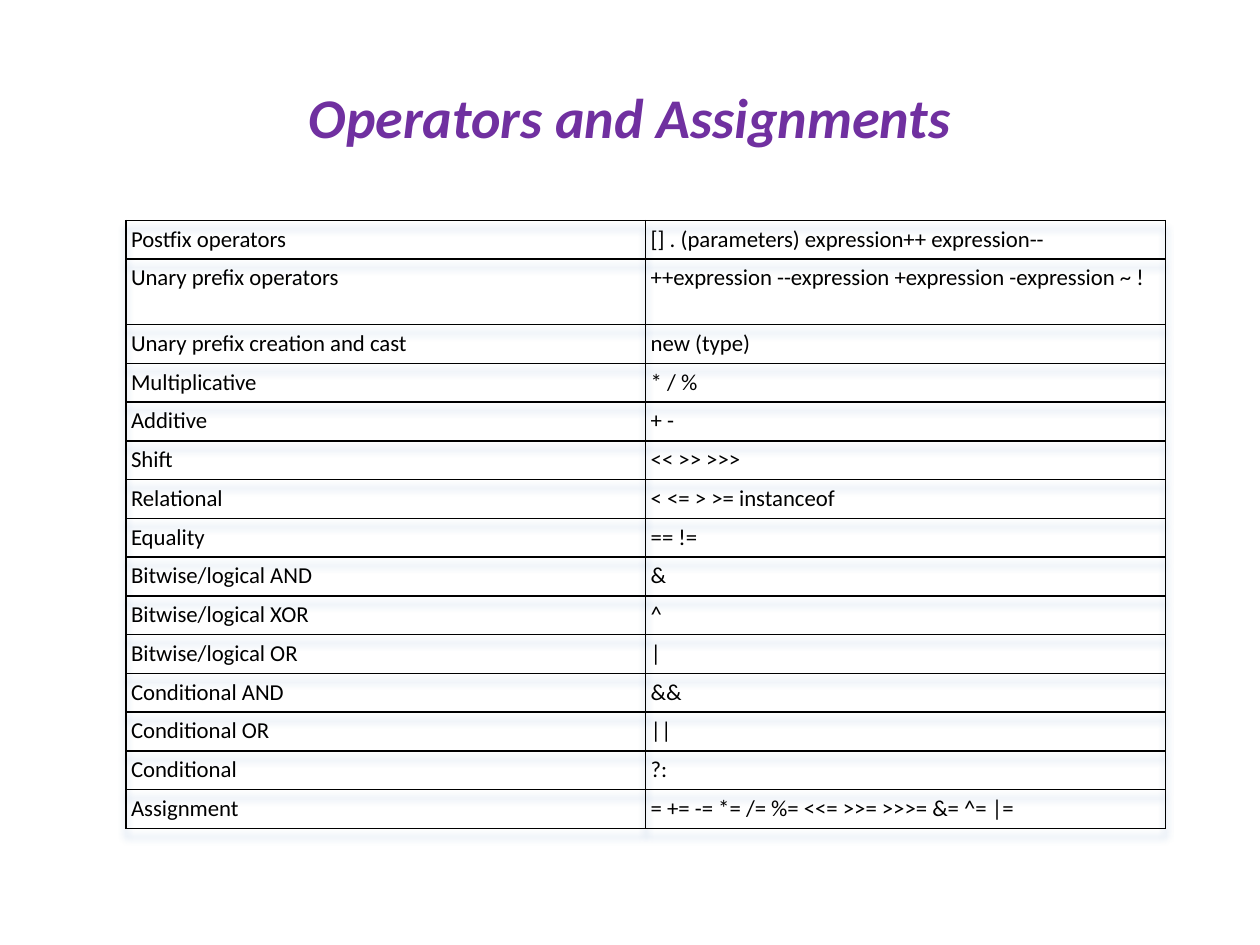
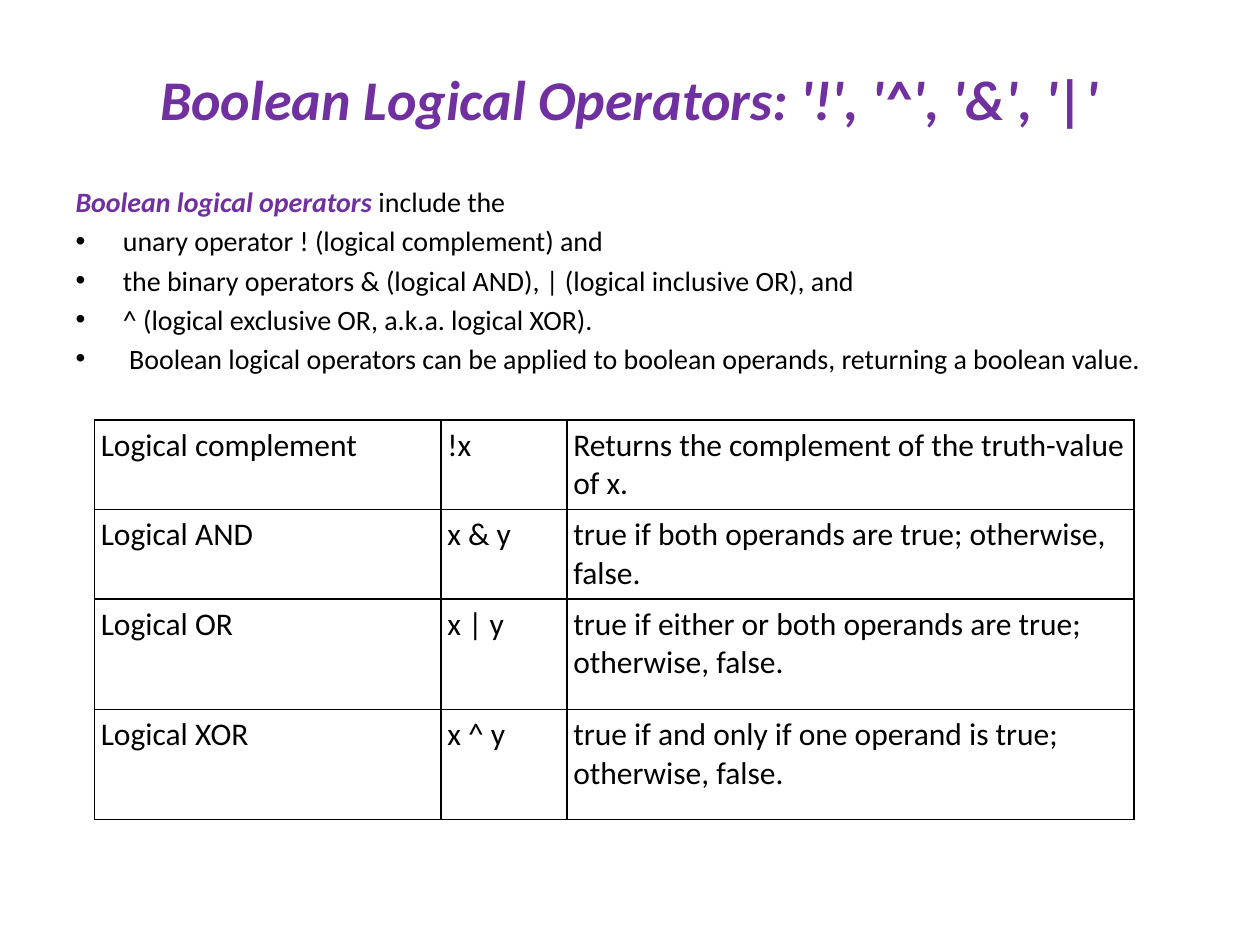
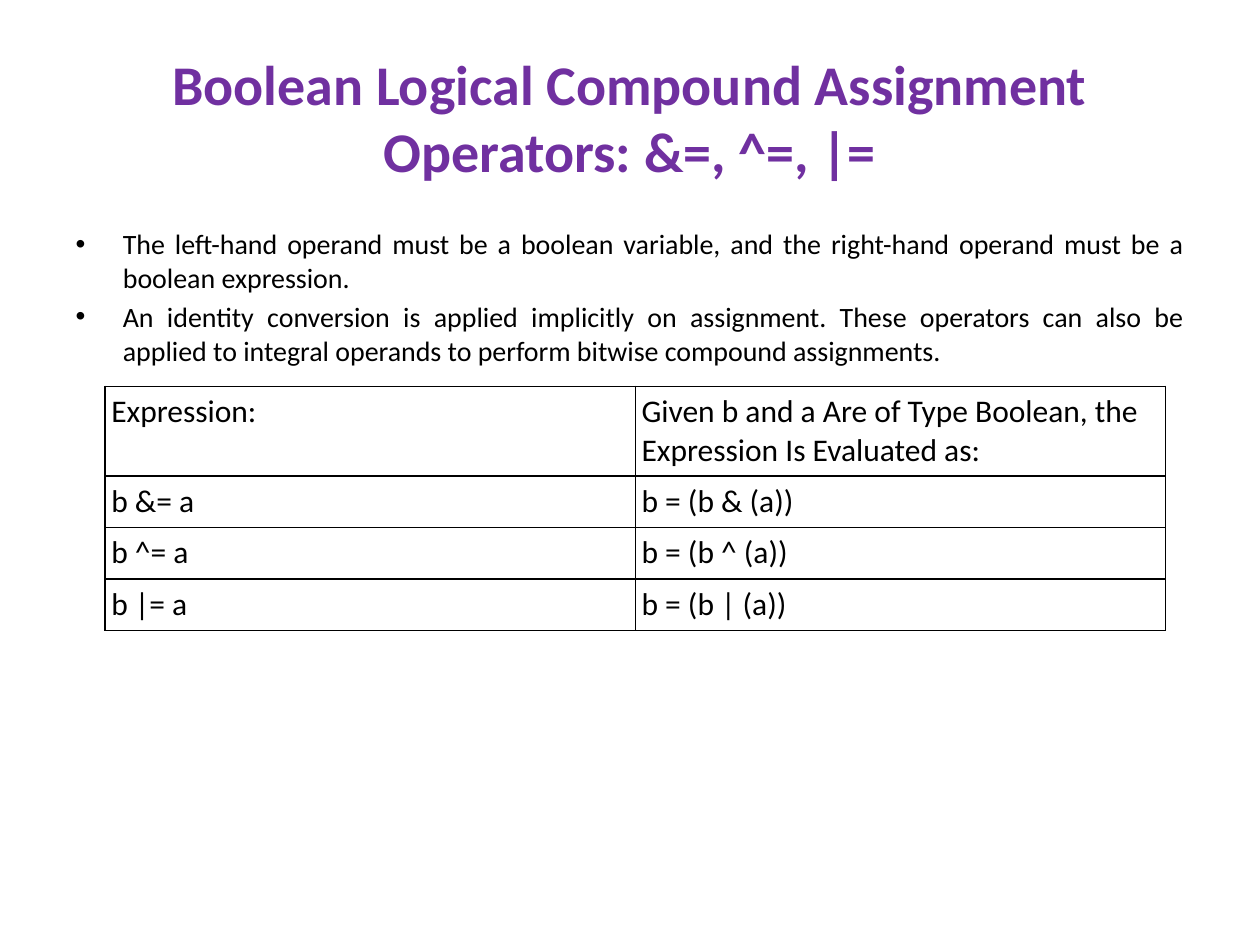
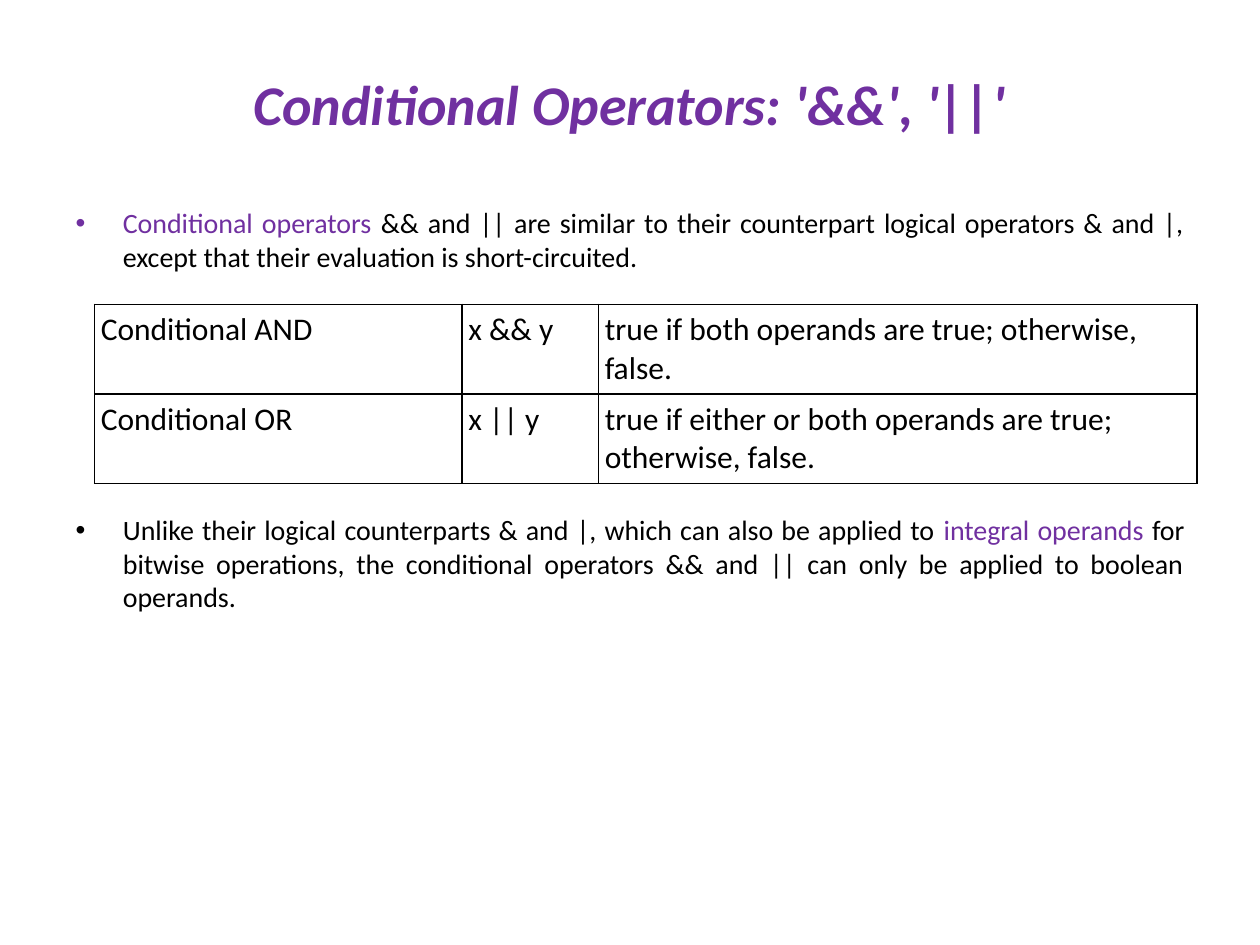
import lxml.etree
import pptx
import pptx.dml.color
import pptx.enum.text
import pptx.oxml
import pptx.oxml.ns
import pptx.util

PURPLE = pptx.dml.color.RGBColor(0x70, 0x30, 0xA0)
BLACK = pptx.dml.color.RGBColor(0x00, 0x00, 0x00)
SHADOW = pptx.dml.color.RGBColor(0x4F, 0x81, 0xBD)

WIDTH, HEIGHT = pptx.util.Inches(10), pptx.util.Inches(7.5)
COLS, ROWS = 120, 90
MARGIN, CONTENT_COLS = 6, 108
TITLE_ROW, BODY_END = 3.6, 80.4
NS = pptx.oxml.ns.nsdecls("a")

TITLE_FONT = {"name": "Calibri", "size": pptx.util.Pt(32), "bold": True}
BODY_FONT = {"name": "Calibri", "size": pptx.util.Pt(16)}
CELL_FONT = {"name": "Calibri", "size": pptx.util.Pt(18)}
SMALL_FONT = {"name": "Calibri", "size": pptx.util.Pt(13)}
JUSTIFIED = {"alignment": pptx.enum.text.PP_ALIGN.JUSTIFY}

PRECEDENCE = [
    ("Postfix operators", "[] . (parameters) expression++ expression--"),
    ("Unary prefix operators", "++expression --expression +expression -expression ~ !"),
    ("Unary prefix creation and cast", "new (type)"),
    ("Multiplicative", "* / %"),
    ("Additive", "+ -"),
    ("Shift", "<< >> >>>"),
    ("Relational", "< <= > >= instanceof"),
    ("Equality", "== !="),
    ("Bitwise/logical AND", "&"),
    ("Bitwise/logical XOR", "^"),
    ("Bitwise/logical OR", "|"),
    ("Conditional AND", "&&"),
    ("Conditional OR", "||"),
    ("Conditional", "?:"),
    ("Assignment", "= += -= *= /= %= <<= >>= >>>= &= ^= |="),
]
LOGICAL = [
    ("Logical complement", "!x", "Returns the complement of the truth-value of x."),
    ("Logical AND", "x & y", "true if both operands are true; otherwise, false."),
    ("Logical OR", "x | y", "true if either or both operands are true; otherwise, false."),
    ("Logical XOR", "x ^ y", "true if and only if one operand is true; otherwise, false."),
]
COMPOUND = [
    ("Expression:", "Given b and a Are of Type Boolean, the Expression Is Evaluated as:"),
    ("b &= a", "b = (b & (a))"),
    ("b ^= a", "b = (b ^ (a))"),
    ("b |= a", "b = (b | (a))"),
]
CONDITIONAL = [
    ("Conditional AND", "x && y", "true if both operands are true; otherwise, false."),
    ("Conditional OR", "x || y", "true if either or both operands are true; otherwise, false."),
]


def x(cols):
    """Turn grid columns into a length."""
    return int(WIDTH * cols / COLS)


def y(rows):
    """Turn grid rows into a length."""
    return int(HEIGHT * rows / ROWS)


def apply(target, values):
    """Set each attribute named in values on target."""
    for name, value in values.items():
        setattr(target, name, value)


def place(sp, top, rows):
    """Put a placeholder on the content columns."""
    apply(sp, {"left": x(MARGIN), "top": y(top),
               "width": x(CONTENT_COLS), "height": y(rows)})
    sp.text_frame.auto_size = pptx.enum.text.MSO_AUTO_SIZE.NONE


def add_run(p, text, font, color=BLACK):
    """Append one formatted run to a paragraph."""
    r = p.add_run()
    r.text = text
    apply(r.font, font)
    r.font.color.rgb = color


def add_slide(prs, title, rows, italic=True, layout=1):
    """Add a slide with its purple title."""
    s = prs.slides.add_slide(prs.slide_layouts[layout])
    place(s.shapes.title, TITLE_ROW, rows)
    p = s.shapes.title.text_frame.paragraphs[0]
    add_run(p, title, {**TITLE_FONT, "italic": italic}, PURPLE)
    return s


def fill_body(s, top, items, values):
    """Write paragraphs, each a list of (text, colour, extra font) runs."""
    sp = s.placeholders[1]
    place(sp, top, BODY_END - top)
    tf = sp.text_frame
    for i, runs in enumerate(items):
        p = tf.add_paragraph() if i else tf.paragraphs[0]
        apply(p, values)
        for text, color, extra in runs:
            add_run(p, text, {**BODY_FONT, **extra}, color)
    return tf.paragraphs


def plain(text):
    """Return a paragraph of one black run."""
    return [(text, BLACK, {})]


def remove_bullet(p):
    """Drop the bullet and indent of a paragraph."""
    pPr = p._p.get_or_add_pPr()
    apply_xml = {"marL": "0", "indent": "0"}
    for name, value in apply_xml.items():
        pPr.set(name, value)
    lxml.etree.SubElement(pPr, pptx.oxml.ns.qn("a:buNone"))


def add_borders(cell):
    """Draw a one-point black line on each side of a cell."""
    tcPr = cell._tc.get_or_add_tcPr()
    for i, side in enumerate("LRTB"):
        tcPr.insert(i, pptx.oxml.parse_xml(
            f'<a:ln{side} {NS} w="12700"><a:solidFill><a:srgbClr val="{BLACK}"/>'
            f'</a:solidFill></a:ln{side}>'))


def add_shadow(table):
    """Give a table a soft blue shadow below its lines."""
    table._tbl.tblPr.insert(0, pptx.oxml.parse_xml(
        f'<a:effectLst {NS}><a:outerShdw blurRad="50800" dist="63500" dir="5400000">'
        f'<a:srgbClr val="{SHADOW}"><a:alpha val="40000"/></a:srgbClr>'
        f'</a:outerShdw></a:effectLst>'))


def add_table(s, left, top, widths, heights, data, font=CELL_FONT, inset=0.05):
    """Add a ruled table without fills, sized in grid columns and rows."""
    table = s.shapes.add_table(len(data), len(widths), x(left), y(top),
                               x(sum(widths)), y(sum(heights))).table
    apply(table, {"first_row": False, "horz_banding": False})
    for column, width in zip(table.columns, widths):
        column.width = x(width)
    margins = {f"margin_{side}": pptx.util.Inches(inset)
               for side in ("left", "right", "top", "bottom")}
    for row, height, texts in zip(table.rows, heights, data):
        row.height = y(height)
        for cell, text in zip(row.cells, texts):
            apply(cell, margins)
            cell.fill.background()
            add_borders(cell)
            add_run(cell.text_frame.paragraphs[0], text, font)
    return table


def add_precedence(prs):
    """Build the slide of all operators."""
    s = add_slide(prs, "Operators and Assignments", 15, layout=5)
    heights = [3.69] * len(PRECEDENCE)
    heights[1] = 6.24
    add_shadow(add_table(s, 12, 21, [49.5] * 2, heights, PRECEDENCE, SMALL_FONT, 0.04))


def add_logical(prs):
    """Build the slide of boolean logical operators."""
    s = add_slide(prs, "Boolean Logical Operators: '!', '^', '&', '|'", 11.4)
    paragraphs = fill_body(s, 17, [
        [("Boolean logical operators ", PURPLE, {"bold": True, "italic": True}),
         ("include the ", BLACK, {})],
        plain("unary operator ! (logical complement) and "),
        plain("the binary operators & (logical AND), | (logical inclusive OR), and "),
        plain("^ (logical exclusive OR, a.k.a. logical XOR)."),
        plain(" Boolean logical operators can be applied to boolean operands, "
              "returning a boolean value."),
    ], {})
    remove_bullet(paragraphs[0])
    add_table(s, 9, 40, [33, 12, 54], [8.5, 8.5, 10.5, 10.5], LOGICAL)


def add_compound(prs):
    """Build the slide of compound assignment operators."""
    s = add_slide(prs, "Boolean Logical Compound Assignment Operators: &=, ^=, |=",
                  15, italic=False)
    fill_body(s, 21, [
        plain("The left-hand operand must be a boolean variable, and the right-hand "
              "operand must be a boolean expression. "),
        plain("An identity conversion is applied implicitly on assignment. These operators "
              "can also be applied to integral operands to perform bitwise compound "
              "assignments."),
    ], JUSTIFIED)
    add_table(s, 10, 36.8, [50.5] * 2, [8.5] + [4.9] * 3, COMPOUND)


def add_conditional(prs):
    """Build the slide of conditional operators."""
    s = add_slide(prs, "Conditional Operators: '&&', '||'", 12.4)
    paragraphs = fill_body(s, 19, [
        [("Conditional operators ", PURPLE, {}),
         ("&& and || are similar to their counterpart logical operators & and |, "
          "except that their evaluation is short-circuited.", BLACK, {})],
        [("Unlike their logical counterparts & and |, which can also be applied to ",
          BLACK, {}),
         ("integral operands ", PURPLE, {}),
         ("for bitwise operations, the conditional operators && and || can only be "
          "applied to boolean operands.", BLACK, {})],
    ], JUSTIFIED)
    paragraphs[1].space_before = pptx.util.Pt(137)
    add_table(s, 9, 29, [35, 13, 57], [8.5] * 2, CONDITIONAL)


def main():
    """Build and save the deck."""
    prs = pptx.Presentation()
    apply(prs, {"slide_width": WIDTH, "slide_height": HEIGHT})
    for build in (add_precedence, add_logical, add_compound, add_conditional):
        build(prs)
    prs.save("out.pptx")


main()
